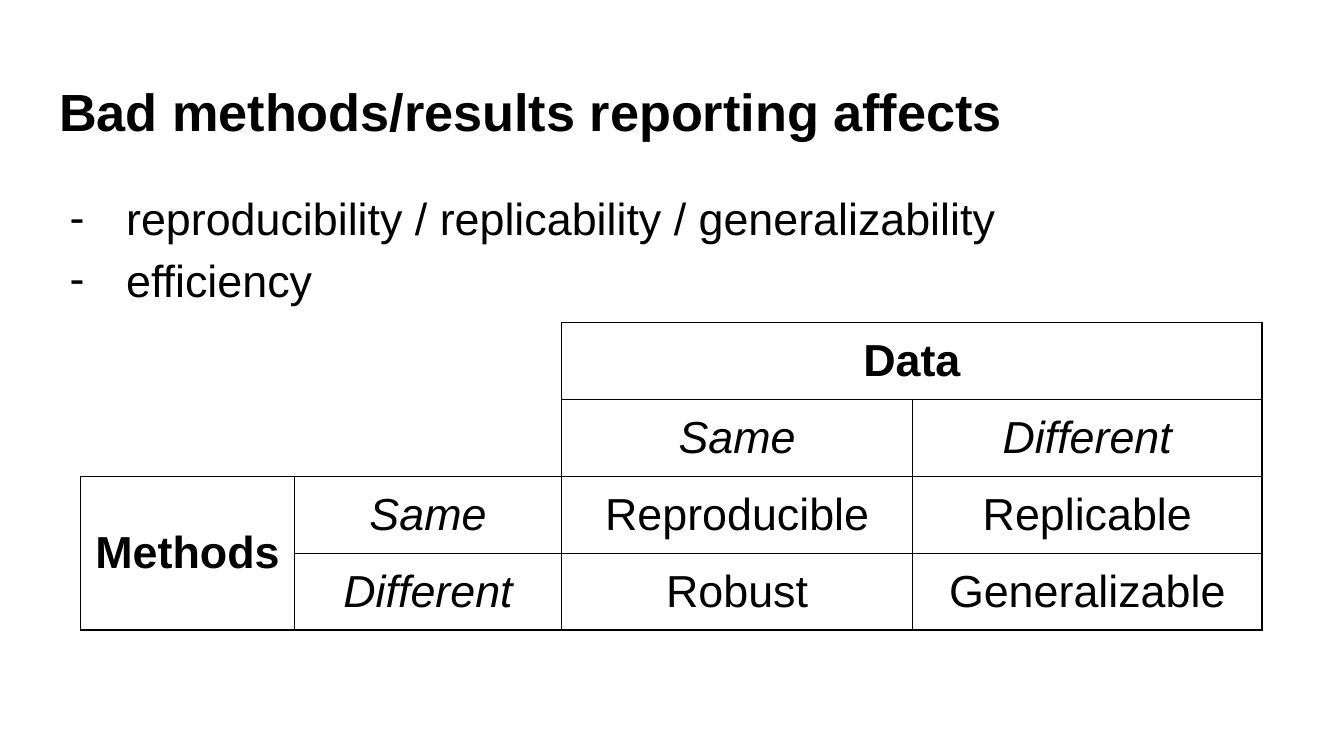
"""Build a slide on how poor reporting affects reproducibility, with a data and methods table."""
from lxml.etree import SubElement
from pptx import Presentation
from pptx.dml.color import RGBColor
from pptx.enum.text import MSO_ANCHOR, MSO_AUTO_SIZE, PP_ALIGN
from pptx.oxml import parse_xml
from pptx.oxml.ns import nsdecls, qn
from pptx.util import Inches, Pt

BLACK = RGBColor(0, 0, 0)
WHITE = RGBColor(255, 255, 255)
FONT = "Arial"

HEADING = "Bad methods/results reporting affects"
EFFECTS = ["reproducibility / replicability / generalizability", "efficiency"]
GRID = [
    ["", "", "Data", ""],
    ["", "", "Same", "Different"],
    ["Methods", "Same", "Reproducible", "Replicable"],
    ["", "Different", "Robust", "Generalizable"],
]
MERGES = [((0, 0), (1, 1)), ((0, 2), (0, 3)), ((2, 0), (3, 0))]
STYLES = {
    "Data": {"bold": True},
    "Methods": {"bold": True},
    "Same": {"italic": True},
    "Different": {"italic": True},
}
SLIDE_WIDTH = Inches(10)
SLIDE_HEIGHT = SLIDE_WIDTH * 9 // 16
COLUMN_WIDTHS = [1.59, 1.99, 2.61, 2.6]
ROW_HEIGHT = 0.48
TABLE_LEFT, TABLE_TOP = 0.6, 2.4
TEXT_LEFT, TEXT_WIDTH = 0.34, 9.32
MARGINS = {f"margin_{side}": Inches(0.1) for side in ("left", "top", "right", "bottom")}
FRAME = {**MARGINS, "word_wrap": True, "auto_size": MSO_AUTO_SIZE.NONE,
         "vertical_anchor": MSO_ANCHOR.TOP}


def apply(target, values):
    for name, value in values.items():
        setattr(target, name, value)


def write(paragraph, text, size, **style):
    run = paragraph.add_run()
    run.text = text
    apply(run.font, {"name": FONT, "size": Pt(size), "bold": False, "italic": False, **style})
    run.font.color.rgb = BLACK


def add_dash(paragraph):
    properties = paragraph._p.get_or_add_pPr()
    properties.set("marL", str(Inches(0.5)))
    properties.set("indent", str(Inches(-0.42)))
    SubElement(SubElement(properties, qn("a:buClr")), qn("a:srgbClr")).set("val", str(BLACK))
    SubElement(properties, qn("a:buFont")).set("typeface", FONT)
    SubElement(properties, qn("a:buChar")).set("char", "-")


def set_borders(cell, colors):
    properties = cell._tc.get_or_add_tcPr()
    for position, (edge, color) in enumerate(zip("LRTB", colors)):
        properties.insert(position, parse_xml(
            f'<a:ln{edge} {nsdecls("a")} w="{Pt(0.75)}"><a:solidFill>'
            f'<a:srgbClr val="{color}"/></a:solidFill></a:ln{edge}>'))


def add_heading(slide):
    heading = slide.shapes.title
    apply(heading, {"left": Inches(TEXT_LEFT), "top": Inches(0.49),
                    "width": Inches(TEXT_WIDTH), "height": Inches(0.63)})
    apply(heading.text_frame, FRAME)
    paragraph = heading.text_frame.paragraphs[0]
    apply(paragraph, {"alignment": PP_ALIGN.LEFT, "line_spacing": 1.0})
    write(paragraph, HEADING, 28, bold=True)


def add_effects(slide):
    effects = slide.shapes.add_textbox(
        Inches(TEXT_LEFT), Inches(1.26), Inches(TEXT_WIDTH), Inches(3.74)).text_frame
    apply(effects, FRAME)
    for index, effect in enumerate(EFFECTS):
        paragraph = effects.add_paragraph() if index else effects.paragraphs[0]
        paragraph.line_spacing = 1.15
        add_dash(paragraph)
        write(paragraph, effect, 24)


def add_matrix(slide):
    matrix = slide.shapes.add_table(
        len(GRID), len(COLUMN_WIDTHS), Inches(TABLE_LEFT), Inches(TABLE_TOP),
        Inches(sum(COLUMN_WIDTHS)), Inches(ROW_HEIGHT * len(GRID))).table
    apply(matrix, {"first_row": False, "horz_banding": False})
    for column, width in zip(matrix.columns, COLUMN_WIDTHS):
        column.width = Inches(width)
    for row in matrix.rows:
        row.height = Inches(ROW_HEIGHT)
    for start, end in MERGES:
        matrix.cell(*start).merge(matrix.cell(*end))
    for row, labels in enumerate(GRID):
        for column, label in enumerate(labels):
            cell = matrix.cell(row, column)
            apply(cell, MARGINS)
            cell.vertical_anchor = MSO_ANCHOR.MIDDLE if label == "Methods" else MSO_ANCHOR.TOP
            cell.fill.solid()
            cell.fill.fore_color.rgb = WHITE
            outer = WHITE if row < 2 and column < 2 else BLACK
            set_borders(cell, (outer, BLACK, outer, BLACK))
            if label:
                paragraph = cell.text_frame.paragraphs[0]
                paragraph.alignment = PP_ALIGN.CENTER
                write(paragraph, label, 24, **STYLES.get(label, {}))


def main():
    presentation = Presentation()
    apply(presentation, {"slide_width": SLIDE_WIDTH, "slide_height": SLIDE_HEIGHT})
    slide = presentation.slides.add_slide(presentation.slide_layouts[5])
    add_heading(slide)
    add_effects(slide)
    add_matrix(slide)
    presentation.save("out.pptx")


if __name__ == "__main__":
    main()
